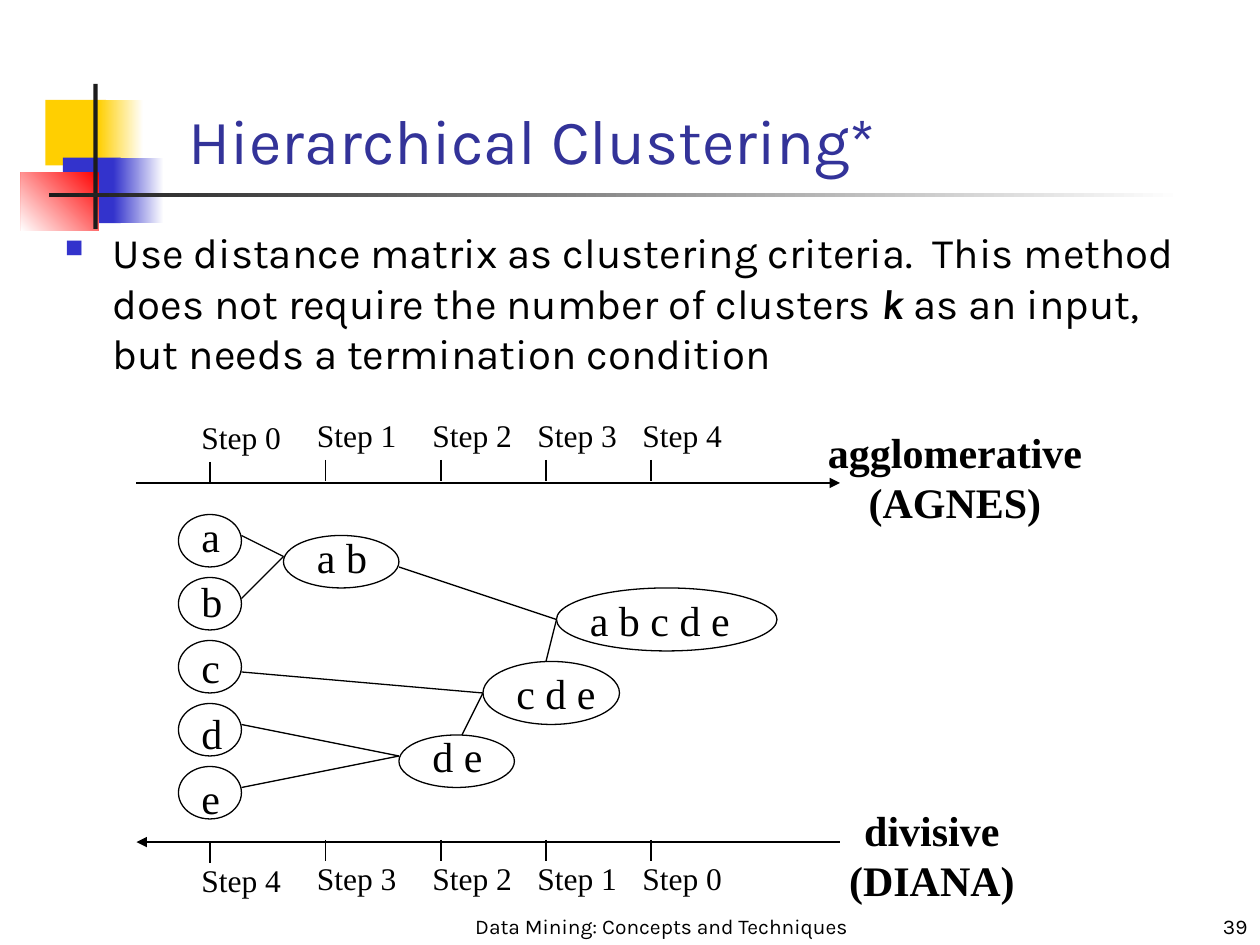
from pptx import Presentation
from pptx.dml.color import RGBColor
from pptx.enum.shapes import MSO_CONNECTOR, MSO_SHAPE
from pptx.enum.text import MSO_ANCHOR, PP_ALIGN
from pptx.oxml.ns import qn
from pptx.util import Inches, Pt
from lxml import etree

STRAIGHT = MSO_CONNECTOR.STRAIGHT
RECTANGLE, OVAL = MSO_SHAPE.RECTANGLE, MSO_SHAPE.OVAL
LEFT, CENTER, RIGHT = PP_ALIGN.LEFT, PP_ALIGN.CENTER, PP_ALIGN.RIGHT
TOP, MIDDLE, BOTTOM = MSO_ANCHOR.TOP, MSO_ANCHOR.MIDDLE, MSO_ANCHOR.BOTTOM

COLUMNS, ROWS = 120, 90
CELL = Inches(10) / COLUMNS
COLORS = {"ink": "000000", "white": "FFFFFF", "yellow": "FFCF01", "blue": "3333CC",
          "red": "FF0000", "charcoal": "1C1C1C", "title": "333399"}
FORMATS = {
    "title": {"name": "Karla", "size": Pt(36)},
    "body": {"name": "Karla", "size": Pt(24)},
    "emphasis": {"name": "Karla", "size": Pt(24), "bold": True, "italic": True},
    "footer": {"name": "Karla", "size": Pt(12)},
    "step": {"name": "Times New Roman", "size": Pt(18)},
    "cluster": {"name": "Times New Roman", "size": Pt(24)},
    "caption": {"name": "Times New Roman", "size": Pt(24), "bold": True},
}


def cells(*counts):
    return [round(count * CELL) for count in counts]


def color(name):
    return RGBColor.from_string(COLORS[name])


def add_text(slide, box, paragraphs, style, ink="ink", align=LEFT, anchor=TOP, wrap=True):
    frame = slide.shapes.add_textbox(*cells(*box)).text_frame
    frame.word_wrap = wrap
    frame.vertical_anchor = anchor
    for index, runs in enumerate(paragraphs):
        paragraph = frame.add_paragraph() if index else frame.paragraphs[0]
        paragraph.alignment = align
        for text, run_style in runs if isinstance(runs, list) else [(runs, style)]:
            run = paragraph.add_run()
            run.text = text
            run.font.color.rgb = color(ink)
            for attribute, value in FORMATS[run_style].items():
                setattr(run.font, attribute, value)
    return frame


def add_line(slide, start, end, width=0.75, arrow_end=None):
    connector = slide.shapes.add_connector(STRAIGHT, *cells(*start, *end))
    connector.line.color.rgb = color("ink")
    connector.line.width = Pt(width)
    if arrow_end:
        etree.SubElement(connector.line._ln, qn(arrow_end), type="triangle")
    etree.SubElement(connector._element.spPr, qn("a:effectLst"))


def add_block(slide, box, colors, angle):
    shape = slide.shapes.add_shape(RECTANGLE, *cells(*box))
    shape.shadow.inherit = False
    shape.line.fill.background()
    if len(colors) == 1:
        shape.fill.solid()
        shape.fill.fore_color.rgb = color(colors[0])
        return
    shape.fill.gradient()
    shape.fill.gradient_angle = angle
    for stop, name in zip(shape.fill.gradient_stops, colors):
        stop.color.rgb = color(name)


def add_ornament(slide, left, top):
    blocks = [
        ((2.33, 1.5, 5.75, 6.25), ["yellow"], 0),
        ((7.35, 1.5, 4.3, 6.25), ["white", "yellow"], 180),
        ((4, 7, 5.5, 6.25), ["blue"], 0),
        ((8.8, 7, 4.8, 6.25), ["white", "blue"], 180),
        ((0, 8.4, 7.4, 5.6), ["red", "white"], 225),
        ((6.9, 0, 0.4, 13.8), ["charcoal"], 0),
        ((2.7, 10.35, 108, 0.4), ["white", "charcoal"], 180),
    ]
    for (column, row, width, height), colors, angle in blocks:
        add_block(slide, (left + column, top + row, width, height), colors, angle)


def add_body(slide, box):
    runs = [
        ("Use distance matrix as clustering criteria.  This method does not require "
         "the number of clusters ", "body"),
        ("k", "emphasis"),
        (" as an input, but needs a termination condition", "body"),
    ]
    paragraph = add_text(slide, box, [runs], "body").paragraphs[0]
    paragraph.space_before = Pt(15)
    properties = paragraph._p.get_or_add_pPr()
    properties.set("marL", str(Inches(0.38)))
    properties.set("indent", str(-Inches(0.38)))
    bullet_color = etree.SubElement(properties, qn("a:buClr"))
    etree.SubElement(bullet_color, qn("a:srgbClr"), val=COLORS["blue"])
    etree.SubElement(properties, qn("a:buSzPct"), val="60000")
    etree.SubElement(properties, qn("a:buChar"), char="■")


def add_timeline(slide, left, axis, numbers, arrow_end, tick_offset, label_offset):
    add_line(slide, (left, axis), (left + 67, axis), 1.5, arrow_end)
    for index, (column, number) in enumerate(zip((7, 18, 29, 39, 49), numbers)):
        row = axis + (0.2 if index == 0 else 0)
        tick = left + column
        add_line(slide, (tick, row + tick_offset), (tick, row + tick_offset + 2))
        add_text(slide, (tick - 2, row + label_offset, 10, 4.8), [f"Step {number}"], "step")


def add_cluster(slide, box, text, label_column, label_row):
    left, top, width, height = box
    add_text(slide, (left + label_column, top + label_row, width - label_column, 6),
             [text], "cluster", wrap=False)
    shape = slide.shapes.add_shape(OVAL, *cells(*box))
    shape.shadow.inherit = False
    shape.fill.background()
    shape.line.color.rgb = color("ink")
    shape.line.width = Pt(0.75)


def add_tree(slide, left, top):
    for index, letter in enumerate("abcde"):
        add_cluster(slide, (left, top + 6 * index, 6, 5), letter, 1, index / 4 - 1)
    merged = [
        ((10, 2, 11, 5), "a b", -1),
        ((21, 21, 11, 5), "d e", -1),
        ((29, 14, 13, 6), "c d e", 0),
        ((36, 7, 21, 6), "a b c d e", 0),
    ]
    for (column, row, width, height), text, label_row in merged:
        add_cluster(slide, (left + column, top + row, width, height), text, 2, label_row)
    branches = [
        ((6, 2), (10, 4)), ((6, 8), (10, 4)),
        ((6, 20), (21, 23)), ((6, 26), (21, 23)),
        ((6, 15), (29, 17)), ((27, 21), (29, 17)),
        ((21, 5), (36, 10)), ((35, 14), (36, 10)),
    ]
    for start, end in branches:
        add_line(slide, (left + start[0], top + start[1]), (left + end[0], top + end[1]))


def add_footer(slide, top, height):
    add_text(slide, (44, top, 38, height), ["Data Mining: Concepts and Techniques"],
             "footer", align=CENTER, anchor=BOTTOM)
    add_text(slide, (95, top, COLUMNS - 95, height), ["39"],
             "footer", align=RIGHT, anchor=BOTTOM)


def main():
    presentation = Presentation()
    presentation.slide_width, presentation.slide_height = cells(COLUMNS, ROWS)
    slide = presentation.slides.add_slide(presentation.slide_layouts[6])
    add_ornament(slide, 2, 8)
    add_text(slide, (16.8, 10.4, 95.8, 5.8), ["Hierarchical Clustering*"],
             "title", ink="title", anchor=MIDDLE)
    add_body(slide, (5, 21, 109, 64))
    add_timeline(slide, 13, 46, range(5), "a:tailEnd", -2.2, -7)
    add_tree(slide, 17, 49)
    add_timeline(slide, 13, 80.2, reversed(range(5)), "a:headEnd", -0.2, 1)
    captions = [((76.95, 40, 28, 10.8), ["agglomerative", "(AGNES)"]),
                ((78.25, 76, 21, 10.8), ["divisive", "(DIANA)"])]
    for box, lines in captions:
        add_text(slide, box, lines, "caption", align=CENTER)
    add_footer(slide, 85, 5)
    presentation.save("out.pptx")


if __name__ == "__main__":
    main()
